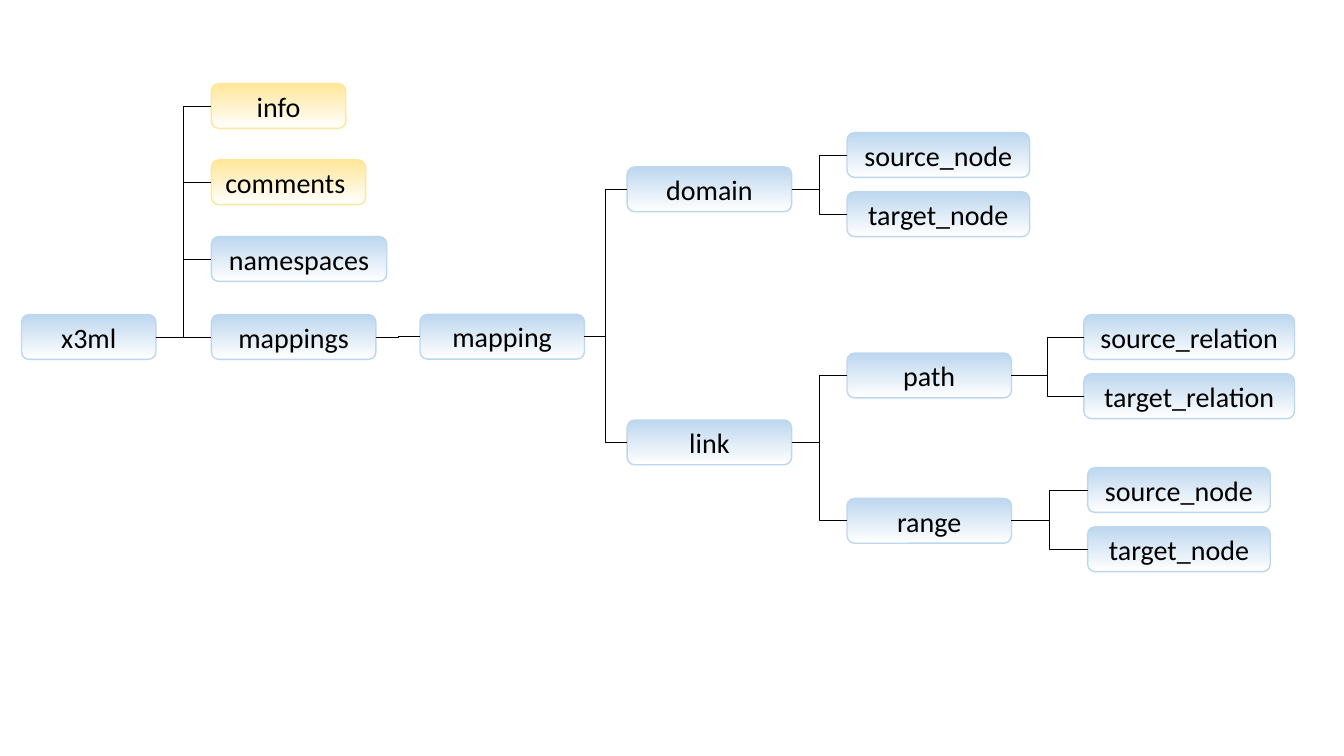
from pptx import Presentation
from pptx.dml.color import RGBColor
from pptx.enum.shapes import MSO_CONNECTOR, MSO_SHAPE
from pptx.enum.text import MSO_ANCHOR, PP_ALIGN
from pptx.oxml.ns import qn
from pptx.util import Pt
from lxml.etree import SubElement

COLOURS = {"blue": "BDD7EE", "yellow": "FFE699", "white": "FFFFFF", "black": "000000"}
NODE_HEIGHT = 32
PAIR_STEP = 42.3
LEFT_SIDE, RIGHT_SIDE = 1, 3  # connection sites of a rounded rectangle


def colour(name):
    """Return the named colour."""
    return RGBColor.from_string(COLOURS[name])


def node(text, left, top, width=117.5, children=(), fill="blue"):
    """Describe an element of the schema, placed relative to the tree."""
    return {"text": text, "left": left, "top": top, "width": width,
            "children": children, "fill": fill}


def pair(kind, left, top, width):
    """Describe a source and target element, one below the other."""
    return [node(f"{role}_{kind}", left, top + index * PAIR_STEP, width)
            for index, role in enumerate(("source", "target"))]


DOMAIN = node("domain", 433, 59.5, children=pair("node", 590, 35, 130.5))
LINK = node("link", 433, 240.3, children=[
    node("path", 590, 192.5, children=pair("relation", 759.2, 165, 150.5)),
    node("range", 590, 296.3, children=pair("node", 761.9, 274.3, 130.5)),
])
TREE = node("x3ml", 0.4, 165, 96, [
    node("info", 136, 0, 96, fill="yellow"),
    node("comments ", 136, 54.5, 110.2, fill="yellow"),
    node("namespaces", 136, 109.3, 125.3),
    node("mappings", 136, 165, children=[
        node("mapping", 285, 164.8, children=[DOMAIN, LINK]),
    ]),
])


def add_node(slide, element, left, top):
    """Draw one element as a rounded box with a gradient."""
    shape = slide.shapes.add_shape(
        MSO_SHAPE.ROUNDED_RECTANGLE, Pt(left + element["left"]),
        Pt(top + element["top"]), Pt(element["width"]), Pt(NODE_HEIGHT))
    shape.shadow.inherit = False
    shape.fill.gradient()
    shape.fill.gradient_angle = 270
    for stop, position, name in zip(shape.fill.gradient_stops, (0, 1),
                                    (element["fill"], "white")):
        stop.position = position
        stop.color.rgb = colour(name)
    shape.line.color.rgb = colour(element["fill"])
    shape.line.width = Pt(1)

    text_frame = shape.text_frame
    text_frame.text = element["text"]
    text_frame.vertical_anchor = MSO_ANCHOR.MIDDLE
    paragraph = text_frame.paragraphs[0]
    paragraph.alignment = PP_ALIGN.CENTER
    font = paragraph.runs[0].font
    font.name = "Calibri"
    font.size = Pt(20)
    font.color.rgb = colour("black")
    return shape


def add_link(slide, parent, child):
    """Join the right side of the parent to the left side of the child."""
    connector = slide.shapes.add_connector(
        MSO_CONNECTOR.ELBOW, parent.left + parent.width,
        parent.top + parent.height // 2, child.left,
        child.top + child.height // 2)
    connector.begin_connect(parent, RIGHT_SIDE)
    connector.end_connect(child, LEFT_SIDE)
    connector.line.color.rgb = colour("black")
    connector.line.width = Pt(0.5)
    SubElement(connector._element.spPr, qn("a:effectLst"))


def add_tree(slide, element, left, top):
    """Draw an element and all below it, from the tree's top left corner."""
    shape = add_node(slide, element, left, top)
    for child in element["children"]:
        add_link(slide, shape, add_tree(slide, child, left, top))
    return shape


presentation = Presentation()
presentation.slide_width = Pt(960)
presentation.slide_height = Pt(540)
blank_layout = presentation.slide_layouts[6]
schema_slide = presentation.slides.add_slide(blank_layout)
add_tree(schema_slide, TREE, left=15, top=59.7)
presentation.save("out.pptx")
